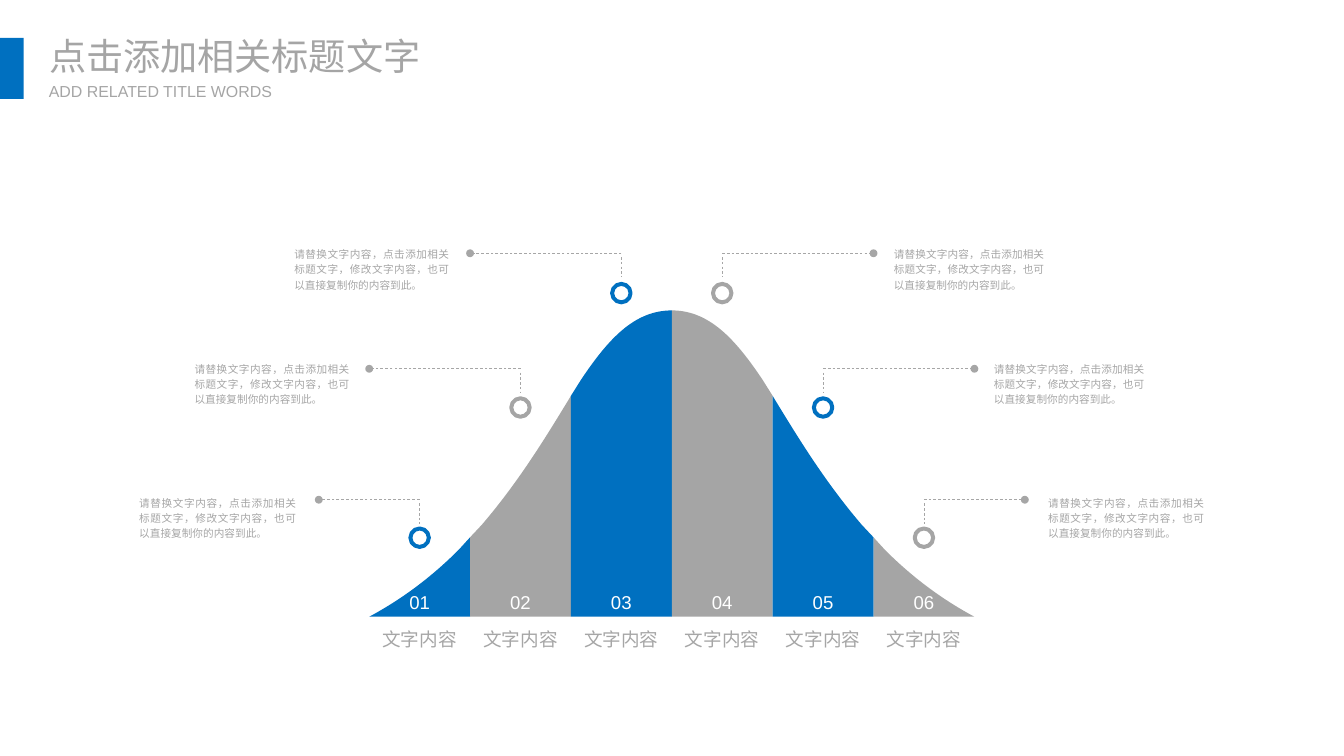
from pptx import Presentation
from pptx.dml.color import RGBColor
from pptx.enum.dml import MSO_LINE
from pptx.enum.shapes import MSO_CONNECTOR, MSO_SHAPE
from pptx.enum.text import MSO_ANCHOR, MSO_AUTO_SIZE, PP_ALIGN
from pptx.oxml.ns import qn
from pptx.util import Cm, Pt
from lxml import etree

BLUE = RGBColor(0x00, 0x70, 0xC0)
GRAY = RGBColor(0xA5, 0xA5, 0xA5)
TEXT_GRAY = RGBColor(0xA6, 0xA6, 0xA6)
WHITE = RGBColor(0xFF, 0xFF, 0xFF)
LEFT, CENTER, JUSTIFY = PP_ALIGN.LEFT, PP_ALIGN.CENTER, PP_ALIGN.JUSTIFY
TOP = MSO_ANCHOR.TOP
GROW = MSO_AUTO_SIZE.SHAPE_TO_FIT_TEXT
DASH = MSO_LINE.DASH
STRAIGHT = MSO_CONNECTOR.STRAIGHT
OVAL, RECTANGLE = MSO_SHAPE.OVAL, MSO_SHAPE.RECTANGLE

BAND = 2.68
MIDDLE = 17.85
BASE = 16.39
RING = 0.49
NOTE = "请替换文字内容，点击添加相关标题文字，修改文字内容，也可以直接复制你的内容到此。"

LEVELS = [
    {"ring": 14.29, "leader": 13.28, "reach": BAND, "note": 13.01, "curve_start": 1,
     "outline": [(8.04, 0), (7.09, 0.51), (6.32, 1.12), (5.66, 1.78), (5.36, 2.11), (5.36, 0)]},
    {"ring": 10.83, "leader": 9.8, "reach": 1.5 * BAND, "note": 9.45, "curve_start": 3,
     "outline": [(5.36, 0), (5.36, 2.11), (5.05, 2.44), (4.09, 3.56), (3.38, 4.72), (2.77, 5.72),
                 (2.68, 5.87), (2.68, 0)]},
    {"ring": 7.79, "leader": 6.73, "reach": 1.5 * BAND, "note": 6.4, "curve_start": 3,
     "outline": [(2.68, 0), (2.68, 5.87), (2.41, 6.3), (1.68, 7.39), (0.99, 8.14), (0, 8.14), (0, 0)]},
]
NOTE_SPANS = [(3.45, 4.67), (4.92, 4.62), (7.57, 4.62), (23.5, 4.5), (26.16, 4.5), (27.6, 4.65)]

prs = Presentation()
prs.slide_width, prs.slide_height = Cm(35.71), Cm(20.09)
slide = prs.slides.add_slide(prs.slide_layouts[5])
shapes = slide.shapes


def write(box, place, text, size, color, align, wrap=False, spacing=None):
    box.left, box.top, box.width, box.height = [Cm(length) for length in place]
    frame = box.text_frame
    frame.text = text
    paragraph = frame.paragraphs[0]
    formats = {
        frame: {"word_wrap": wrap, "auto_size": GROW, "vertical_anchor": TOP},
        paragraph: {"alignment": align, "line_spacing": spacing},
    }
    for target, values in formats.items():
        for name, value in values.items():
            setattr(target, name, value)
    font = paragraph.runs[0].font
    font.name, font.size, font.color.rgb = "Arial", Pt(size), color


def add_leader(x1, y1, x2, y2, dotted_end):
    leader = shapes.add_connector(STRAIGHT, Cm(x1), Cm(y1), Cm(x2), Cm(y2))
    leader.line.color.rgb = TEXT_GRAY
    leader.line.width, leader.line.dash_style = Pt(0.5), DASH
    properties = leader._element.spPr
    if dotted_end:
        etree.SubElement(properties.find(qn("a:ln")), qn("a:tailEnd"), type="oval")
    etree.SubElement(properties, qn("a:effectLst"))


write(shapes.title, (1.05, 0.76, 10.52, 1.47), "点击添加相关标题文字", 28, GRAY, LEFT)
write(shapes.add_textbox(0, 0, 0, 0), (1.05, 2.05, 6.53, 0.79), "ADD RELATED TITLE WORDS", 12, GRAY, LEFT)

accent = shapes.add_shape(RECTANGLE, 0, Cm(1.01), Cm(0.63), Cm(1.62))
accent.shadow.inherit = False
accent.fill.solid()
accent.fill.fore_color.rgb = BLUE
accent.line.fill.background()

for index, (note_left, note_width) in enumerate(NOTE_SPANS):
    side = -1 if index < 3 else 1
    level = LEVELS[min(index, 5 - index)]
    color = GRAY if index % 2 else BLUE
    band_left = MIDDLE + (index - 3) * BAND
    band_center = band_left + BAND / 2

    corners = [(Cm(MIDDLE + side * x), Cm(BASE - y)) for x, y in level["outline"]]
    builder = shapes.build_freeform(*corners[0])
    builder.add_line_segments(corners[1:], close=True)
    band = builder.convert_to_shape()
    band.shadow.inherit = False
    band.fill.solid()
    band.fill.fore_color.rgb = color
    band.line.fill.background()

    outline = next(band._element.iter(qn("a:pathLst")))[0]
    first = level["curve_start"]
    segments = outline[first:first + 3]
    curve = etree.Element(qn("a:cubicBezTo"))
    outline.insert(first, curve)
    for segment in segments:
        curve.append(segment[0])
        outline.remove(segment)

    ring = shapes.add_shape(OVAL, Cm(band_center - RING / 2), Cm(level["ring"] - RING / 2), Cm(RING), Cm(RING))
    ring.shadow.inherit = False
    ring.fill.background()
    ring.line.color.rgb = color
    ring.line.width = Pt(3)

    leader_y = level["leader"]
    add_leader(band_center, leader_y + 0.1, band_center, leader_y + 0.64, False)
    add_leader(band_center, leader_y, band_center + side * level["reach"], leader_y, True)

    write(shapes.add_textbox(0, 0, 0, 0), (note_left, level["note"], note_width, 1.5),
          NOTE, 8, TEXT_GRAY, JUSTIFY, True, 1.2)
    for text, top, text_color in ((f"{index + 1:02}", 15.58, WHITE), ("文字内容", 16.56, TEXT_GRAY)):
        write(shapes.add_textbox(0, 0, 0, 0), (band_left, top, BAND, 0.86), text, 14, text_color, CENTER)

prs.save("out.pptx")
